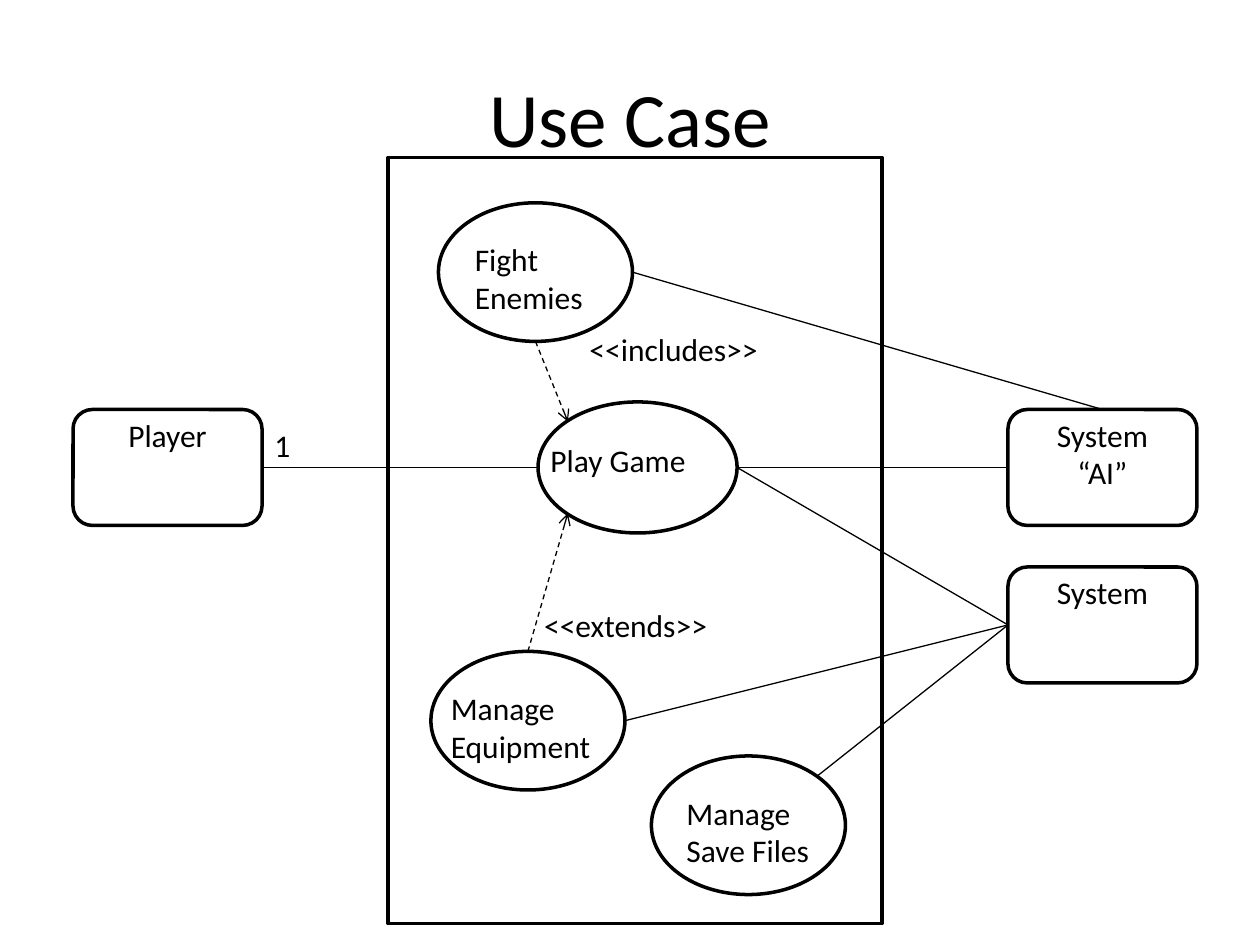
from lxml.etree import SubElement
from pptx import Presentation
from pptx.dml.color import RGBColor
from pptx.enum.dml import MSO_LINE_DASH_STYLE as Dash
from pptx.enum.shapes import MSO_CONNECTOR as Connector, MSO_SHAPE as Preset
from pptx.enum.text import MSO_ANCHOR as Anchor, PP_ALIGN as Align
from pptx.oxml.ns import qn
from pptx.util import Inches, Pt

INK = "000000"
FONT = "Calibri"
ACTOR_SIZE = (1.5, 0.92)
CASE_SIZE = (1.54, 1.1)
RIGHT_COLUMN = 8

# Points on an outline, as shares of its width and height
TOP, BOTTOM, LEFT, RIGHT = (0.5, 0), (0.5, 1), (0, 0.5), (1, 0.5)
UPPER_LEFT, LOWER_LEFT, UPPER_RIGHT = (0.15, 0.15), (0.15, 0.85), (0.85, 0.15)


def color(hex_code):
    """Turn a hex string into a colour."""
    return RGBColor.from_string(hex_code)


def style_text(frame, lines, size, align):
    """Write one paragraph per line in the slide's font."""
    frame.text = "\n".join(lines)
    for para in frame.paragraphs:
        para.alignment = align
        para.font.name = FONT
        para.font.size = Pt(size)
        para.font.color.rgb = color(INK)


def add_title(page, text):
    """Fill and place the title placeholder."""
    title = page.shapes.title
    title.left, title.top, title.width, title.height = map(Inches, (0.5, 0.3, 9, 1.25))
    title.text_frame.vertical_anchor = Anchor.MIDDLE
    style_text(title.text_frame, [text], 44, Align.CENTER)


def add_outline(page, preset, left, top, width, height):
    """Draw an unfilled shape with a heavy outline."""
    shape = page.shapes.add_shape(preset, *map(Inches, (left, top, width, height)))
    shape.shadow.inherit = False
    shape.fill.background()
    shape.line.color.rgb = color(INK)
    shape.line.width = Pt(2)
    return shape


def add_label(page, lines, left, top, width, align=Align.LEFT, rows=1):
    """Add a wrapping text box that is a number of rows high."""
    height = 0.1 + 0.3 * rows
    box = page.shapes.add_textbox(*map(Inches, (left, top, width, height)))
    box.text_frame.word_wrap = True
    style_text(box.text_frame, lines, 18, align)


def add_actor(page, lines, left, top):
    """Draw a rounded actor box with its name at the top."""
    actor = add_outline(page, Preset.ROUNDED_RECTANGLE, left, top, *ACTOR_SIZE)
    add_label(page, lines, left, top, ACTOR_SIZE[0], Align.CENTER, len(lines))
    return actor


def add_case(page, text, left, top, indent, label_width):
    """Draw a use case ellipse with a two-row label."""
    case = add_outline(page, Preset.OVAL, left, top, *CASE_SIZE)
    add_label(page, [text], left + indent, top + 0.25, label_width, rows=2)
    return case


def point_on(shape, shares):
    """Find the point at the given shares of a shape's size."""
    across, down = shares
    return int(shape.left + shape.width * across), int(shape.top + shape.height * down)


def link(page, start, start_at, end, end_at, dependency=False):
    """Join two shapes; a dependency is dashed with an open arrow."""
    line = page.shapes.add_connector(
        Connector.STRAIGHT, *point_on(start, start_at), *point_on(end, end_at))
    line.line.color.rgb = color(INK)
    line.line.width = Pt(0.75)
    if dependency:
        line.line.dash_style = Dash.DASH
        SubElement(line.line._get_or_add_ln(), qn("a:tailEnd"), type="arrow")
    SubElement(line._element.spPr, qn("a:effectLst"))


def main():
    """Build the use case diagram."""
    deck = Presentation()
    deck.slide_width, deck.slide_height = Inches(10), Inches(7.5)
    page = deck.slides.add_slide(deck.slide_layouts[5])
    add_title(page, "Use Case")
    add_outline(page, Preset.RECTANGLE, 3.08, 1.25, 3.92, 6.08)

    player = add_actor(page, ["Player"], 0.58, 3.25)
    opponent = add_actor(page, ["System", "“AI”"], RIGHT_COLUMN, 3.25)
    system = add_actor(page, ["System"], RIGHT_COLUMN, 4.5)

    play = add_outline(page, Preset.OVAL, 4.27, 3.19, 1.58, 1.04)
    add_label(page, ["Play Game"], 4.27, 3.45, 1.58)
    fight = add_case(page, "Fight Enemies", 3.48, 1.61, 0.19, 1.36)
    equipment = add_case(page, "Manage Equipment", 3.42, 5.17, 0.06, 1.47)
    saves = add_case(page, "Manage Save Files", 5.17, 6, 0.18, 1.36)

    link(page, player, RIGHT, play, LEFT)
    link(page, opponent, LEFT, play, RIGHT)
    link(page, opponent, TOP, fight, RIGHT)
    for case, side in ((play, RIGHT), (saves, UPPER_RIGHT), (equipment, RIGHT)):
        link(page, system, LEFT, case, side)
    link(page, fight, BOTTOM, play, UPPER_LEFT, dependency=True)
    link(page, equipment, TOP, play, LOWER_LEFT, dependency=True)

    add_label(page, ["1"], 2.08, 3.33, 0.33)
    add_label(page, ["<<includes>>"], 4.58, 2.57, 1.67)
    add_label(page, ["<<extends>>"], 4.22, 4.76, 1.67)
    deck.save("out.pptx")


main()
